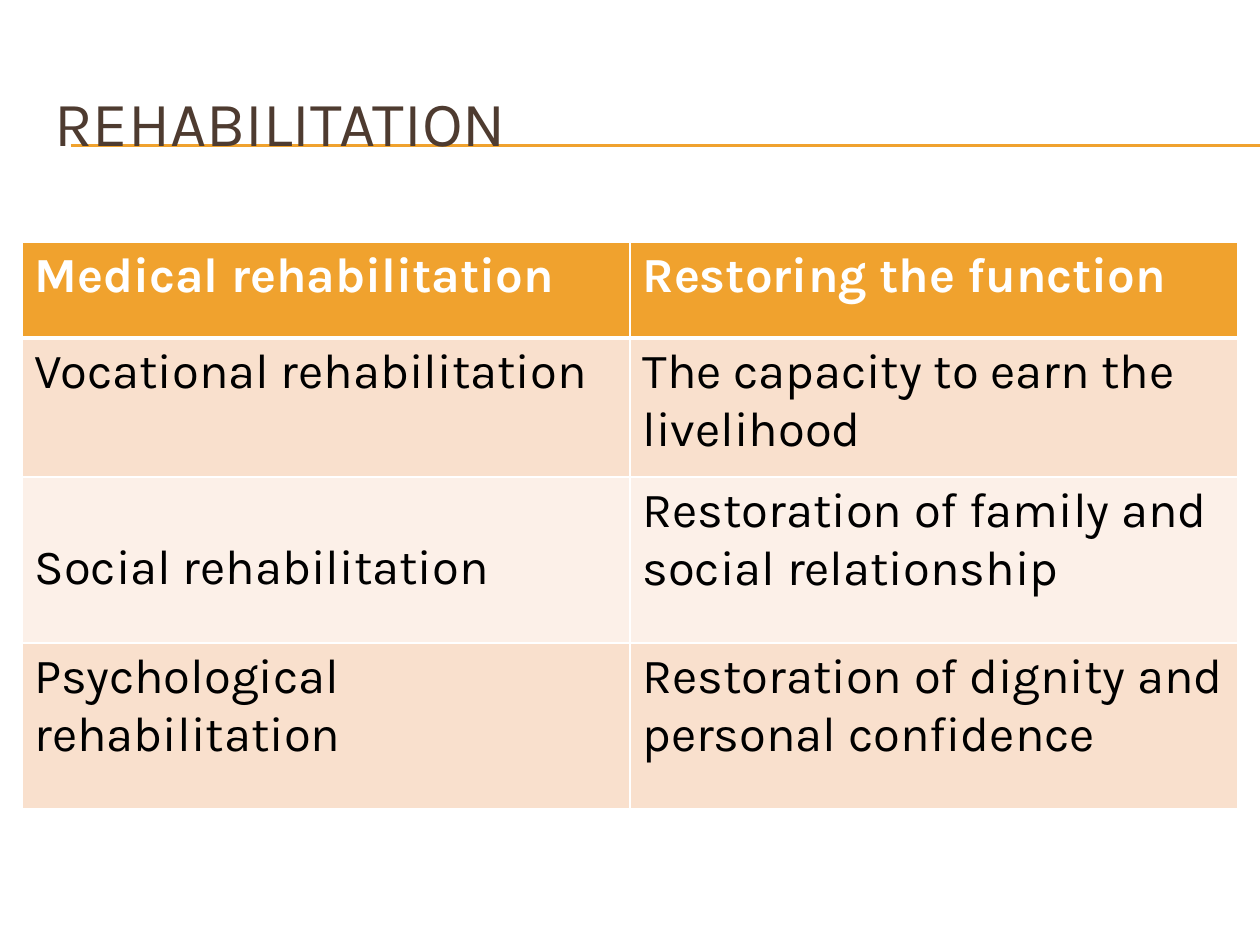
from pptx import Presentation, util as u
from pptx.dml.color import RGBColor
from pptx.enum import shapes, text
from pptx.oxml import parse_xml
from pptx.oxml.ns import nsdecls, qn

COLORS = {"gold": "F0A22E", "brown": "4E3B30", "white": "FFFFFF",
          "black": "000000", "peach": "F9E0CD", "cream": "FCF0E8"}
TITLE = "REHABILITATION"
ROWS = [
    ("Medical rehabilitation", "Restoring the function"),
    ("Vocational rehabilitation", "The capacity to earn the livelihood"),
    ("Social rehabilitation", "Restoration of family and social relationship"),
    ("Psychological rehabilitation",
     "Restoration of dignity and personal confidence"),
]
HEIGHTS = [96, 139, 166, 166]
FILLS = ["gold", "peach", "cream", "peach"]
RULES = [145, 145, 146]
LOWERED = {(2, 0): 57}
LEFT, TOP, COL = 22, 242, 608
PAD = 6


def px(n):
    return u.Emu(round(n * 914400 / 126))


def rgb(name):
    return RGBColor.from_string(COLORS[name])


def write(frame, words, size=28, color="black", bold=False):
    frame.word_wrap = True
    run = frame.paragraphs[0].add_run()
    run.text = words
    font = run.font
    font.name, font.size, font.bold = "Karla", u.Pt(size), bold
    font.color.rgb = rgb(color)


def border(cell, side, width):
    props = cell._tc.get_or_add_tcPr()
    line = parse_xml(
        f'<a:{side} {nsdecls("a")} w="{u.Pt(width)}"><a:solidFill>'
        f'<a:srgbClr val="{COLORS["white"]}"/></a:solidFill></a:{side}>')
    props.insert(len(props.findall("*")) - 1, line)


deck = Presentation()
deck.slide_width, deck.slide_height = px(1260), px(945)
slide = deck.slides.add_slide(deck.slide_layouts[6])

for y in RULES:
    rule = slide.shapes.add_connector(
        shapes.MSO_CONNECTOR.STRAIGHT, px(71), px(y), px(1260), px(y))
    rule.line.color.rgb = rgb("gold")
    rule.line.width = u.Pt(0.75)
    rule._element.spPr.append(rule._element.makeelement(qn("a:effectLst"), {}))

title = slide.shapes.add_textbox(px(42), px(63), px(1197), px(116))
title.text_frame.vertical_anchor = text.MSO_ANCHOR.MIDDLE
write(title.text_frame, TITLE, size=36, color="brown")

table = slide.shapes.add_table(
    len(ROWS), 2, px(LEFT), px(TOP), px(2 * COL), px(sum(HEIGHTS))).table
for col in table.columns:
    col.width = px(COL)
for r, (words, high, fill) in enumerate(zip(ROWS, HEIGHTS, FILLS)):
    table.rows[r].height = px(high)
    head = r == 0
    for c, word in enumerate(words):
        cell = table.cell(r, c)
        cell.margin_top = px(PAD + LOWERED.get((r, c), 0))
        cell.fill.solid()
        cell.fill.fore_color.rgb = rgb(fill)
        for side in ("lnL", "lnR", "lnT", "lnB"):
            thick = (head and side == "lnB") or (r == 1 and side == "lnT")
            border(cell, side, 3 if thick else 1)
        write(cell.text_frame, word, color="white" if head else "black",
              bold=head)

deck.save("out.pptx")
